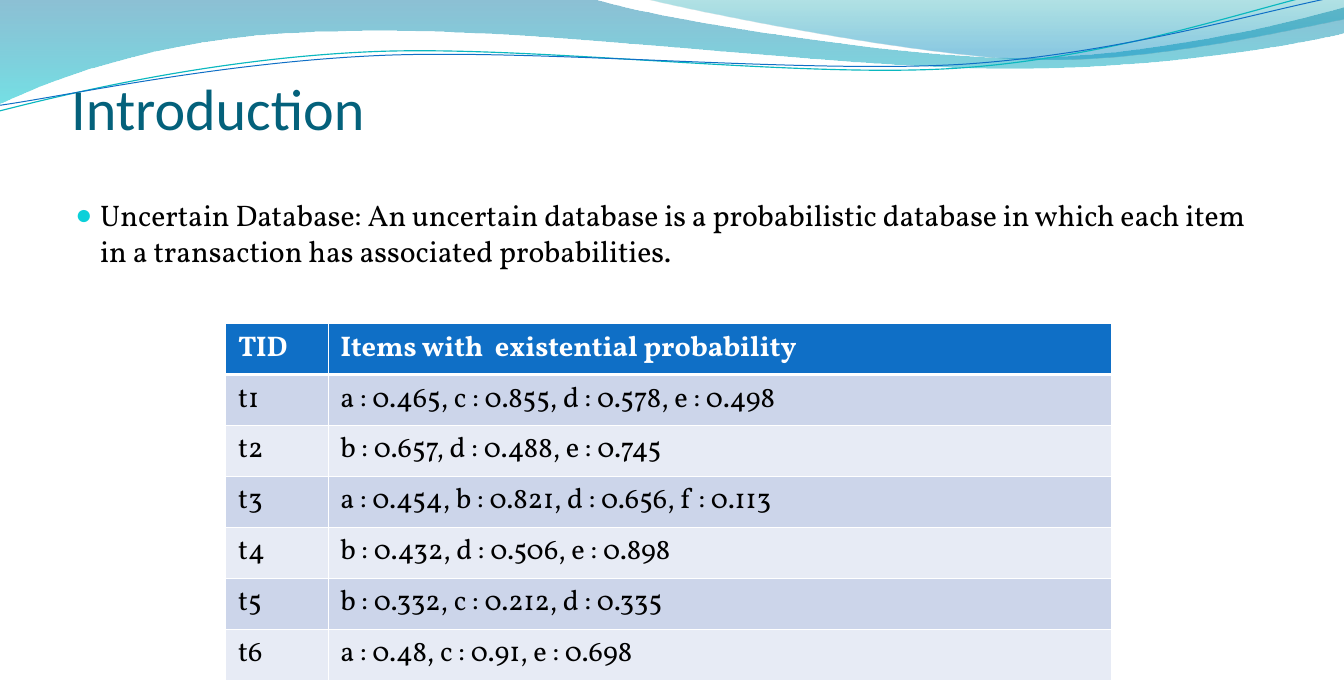
"""Build the Introduction slide: wave header, definition and a table of uncertain transactions."""
from lxml import etree
from pptx import Presentation
from pptx.dml.color import RGBColor
from pptx.enum.text import MSO_ANCHOR, MSO_AUTO_SIZE, PP_ALIGN
from pptx.oxml.ns import qn
from pptx.util import Pt

TOP, BOTTOM = MSO_ANCHOR.TOP, MSO_ANCHOR.BOTTOM
FIXED_SIZE = MSO_AUTO_SIZE.NONE
LEFT = PP_ALIGN.LEFT

TITLE = "Introduction"
DEFINITION = (
    "Uncertain Database: An uncertain database is a probabilistic database "
    "in which each item in a transaction has associated probabilities."
)
TRANSACTIONS = [
    ("TID", "Items with  existential probability"),
    ("t1", "a : 0.465, c : 0.855, d : 0.578, e : 0.498"),
    ("t2", "b : 0.657, d : 0.488, e : 0.745"),
    ("t3", "a : 0.454, b : 0.821, d : 0.656, f : 0.113"),
    ("t4", "b : 0.432, d : 0.506, e : 0.898"),
    ("t5", "b : 0.332, c : 0.212, d : 0.335"),
    ("t6", "a : 0.48, c : 0.91, e : 0.698"),
]

THEME = {
    "title": {"name": "Calibri", "size": Pt(43), "bold": False, "color": "04617B"},
    "body": {"name": "Vollkorn", "size": Pt(22), "bold": False, "color": "000000"},
    "header": {"name": "Vollkorn", "size": Pt(21), "bold": True, "color": "FFFFFF"},
    "cell": {"name": "Vollkorn", "size": Pt(21), "bold": False, "color": "000000"},
    "bullet": "0BD0D9",
    "header_fill": "0F6FC6",
    "bands": ("CCD5EA", "E7EBF5"),
    "border": "FFFFFF",
}

SLIDE_SIZE = (993.6, 504)
TITLE_BOX = (52.6, 20.9, 894.2, 84.2)
BODY_BOX = (49.7, 142.6, 894.2, 361.4)
TABLE_ORIGIN = (167, 239)
COLUMN_WIDTHS = (75.6, 579)
ROW_HEIGHT = 37.7
BULLET_INDENT = 18.4

WAVES = [
    {
        "start": (0, 0),
        "segments": [
            [(437.8, -0.7)],
            [(472.3, 11.5), (659.5, 42.5), (753.8, 42.5)],
            [(847.4, 42.5), (952.6, 17.3), (993.6, 5.8)],
            [(994.3, 24.5)],
            [(977, 29.5), (864, 51.1), (740.9, 50.4)],
            [(617.8, 50.4), (379.4, 18.7), (255.6, 23)],
            [(128.2, 23.8), (45.4, 55.4), (-0.7, 76.3)],
            [(0, 0)],
        ],
        "gradient": [(0, "0074A1", 45), (1, "00C6CF", 55)],
    },
    {
        "start": (475.9, -0.7),
        "segments": [
            [(506.2, 7.2), (677.5, 41.8), (763.9, 43.9)],
            [(850.3, 46.1), (955.4, 21.6), (993.6, 14.4)],
            [(993.6, 0)],
            [(475.9, -0.7)],
        ],
        "gradient": [(0, "00A1A9", 30), (0.8, "008BBF", 45)],
    },
    {
        "start": (-0.7, 82.1),
        "segments": [
            [(47.5, 69.8), (157, 43.2), (275, 38.2)],
            [(393.1, 33.1), (588.2, 58.3), (707.8, 50.4)],
            [(827.3, 42.5), (932.4, 3.6), (992.2, -8.6)],
        ],
        "line": ("0AB8BF", 0.85),
    },
    {
        "start": (0, 77.8),
        "segments": [
            [(46.8, 71.3), (162.7, 46.1), (281.5, 41)],
            [(400.3, 36), (593.3, 54.7), (712.1, 47.5)],
            [(830.9, 39.6), (935.3, 7.2), (994.3, -3.6)],
        ],
        "line": ("0F6FC6", 0.75),
    },
]


def set_values(target, values):
    for name, value in values.items():
        setattr(target, name, value)


def add_element(parent, tag, **attributes):
    return etree.SubElement(parent, qn(tag), **attributes)


def write_text(paragraph, text, style):
    run = paragraph.add_run()
    run.text = text
    set_values(run.font, {key: style[key] for key in ("name", "size", "bold")})
    run.font.color.rgb = RGBColor.from_string(style["color"])


def bend_segments(shape, segments):
    steps = iter(list(shape._element.spPr.iter(qn("a:lnTo"))))
    for segment in segments:
        group = [next(steps) for _ in segment]
        if len(group) == 3:
            curve = etree.Element(qn("a:cubicBezTo"))
            group[0].addprevious(curve)
            for step in group:
                curve.append(step[0])
                step.getparent().remove(step)


def add_wave(slide, wave, depth):
    points = [wave["start"]] + [point for segment in wave["segments"] for point in segment]
    vertices = [(Pt(x), Pt(y)) for x, y in points]
    builder = slide.shapes.build_freeform(*vertices[0])
    builder.add_line_segments(vertices[1:], close="gradient" in wave)
    shape = builder.convert_to_shape()
    bend_segments(shape, wave["segments"])
    shape.shadow.inherit = False
    if "gradient" in wave:
        shape.line.fill.background()
        shape.fill.gradient()
        shape.fill.gradient_angle = 270
        for stop, (position, color, _) in zip(shape.fill.gradient_stops, wave["gradient"]):
            stop.position = position
            stop.color.rgb = RGBColor.from_string(color)
        colors = shape._element.spPr.iter(qn("a:srgbClr"))
        for color, (_, _, opacity) in zip(colors, wave["gradient"]):
            add_element(color, "a:alpha", val=str(opacity * 1000))
    else:
        color, width = wave["line"]
        shape.fill.background()
        shape.line.color.rgb = RGBColor.from_string(color)
        shape.line.width = Pt(width)
    slide.shapes._spTree.insert(2 + depth, shape._element)


def place(shape, box, margins, anchor):
    set_values(shape, dict(zip(("left", "top", "width", "height"), map(Pt, box))))
    frame = shape.text_frame
    names = ("margin_left", "margin_top", "margin_right", "margin_bottom")
    set_values(frame, dict(zip(names, map(Pt, margins))))
    set_values(frame, {"word_wrap": True, "auto_size": FIXED_SIZE, "vertical_anchor": anchor})
    paragraph = frame.paragraphs[0]
    set_values(paragraph, {"alignment": LEFT, "space_before": Pt(0)})
    return paragraph


def add_bullet(paragraph):
    properties = paragraph._p.get_or_add_pPr()
    properties.set("marL", str(Pt(BULLET_INDENT)))
    properties.set("indent", str(-Pt(BULLET_INDENT)))
    color = add_element(properties, "a:buClr")
    add_element(color, "a:srgbClr", val=THEME["bullet"])
    add_element(properties, "a:buSzPct", val="95000")
    add_element(properties, "a:buChar", char="●")


def add_borders(cell, widths):
    properties = cell._tc.get_or_add_tcPr()
    for index, (side, width) in enumerate(zip("LRTB", widths)):
        border = add_element(properties, f"a:ln{side}", w=str(Pt(width)))
        add_element(add_element(border, "a:solidFill"), "a:srgbClr", val=THEME["border"])
        properties.insert(index, border)


def add_transactions(slide):
    row_count = len(TRANSACTIONS)
    size = (sum(COLUMN_WIDTHS), ROW_HEIGHT * row_count)
    table = slide.shapes.add_table(
        row_count, len(COLUMN_WIDTHS), *map(Pt, TABLE_ORIGIN + size)
    ).table
    for column, width in zip(table.columns, COLUMN_WIDTHS):
        column.width = Pt(width)
    margins = {"margin_left": Pt(9), "margin_right": Pt(9),
               "margin_top": Pt(4.1), "margin_bottom": Pt(4.1)}
    for index, values in enumerate(TRANSACTIONS):
        table.rows[index].height = Pt(ROW_HEIGHT)
        fill = THEME["bands"][(index - 1) % 2] if index else THEME["header_fill"]
        for cell, text in zip(table.rows[index].cells, values):
            set_values(cell, margins)
            write_text(cell.text_frame.paragraphs[0], text, THEME["cell" if index else "header"])
            cell.fill.solid()
            cell.fill.fore_color.rgb = RGBColor.from_string(fill)
            add_borders(cell, (1, 1, 1, 1 if index else 3))


def main():
    presentation = Presentation()
    presentation.slide_width, presentation.slide_height = map(Pt, SLIDE_SIZE)
    slide = presentation.slides.add_slide(presentation.slide_layouts[1])
    for depth, wave in enumerate(WAVES):
        add_wave(slide, wave, depth)
    title = place(slide.shapes.title, TITLE_BOX, (0, 3, 0, 0), BOTTOM)
    write_text(title, TITLE, THEME["title"])
    body = place(slide.placeholders[1], BODY_BOX, (6, 3, 6, 3), TOP)
    add_bullet(body)
    write_text(body, DEFINITION, THEME["body"])
    add_transactions(slide)
    presentation.save("out.pptx")


if __name__ == "__main__":
    main()
